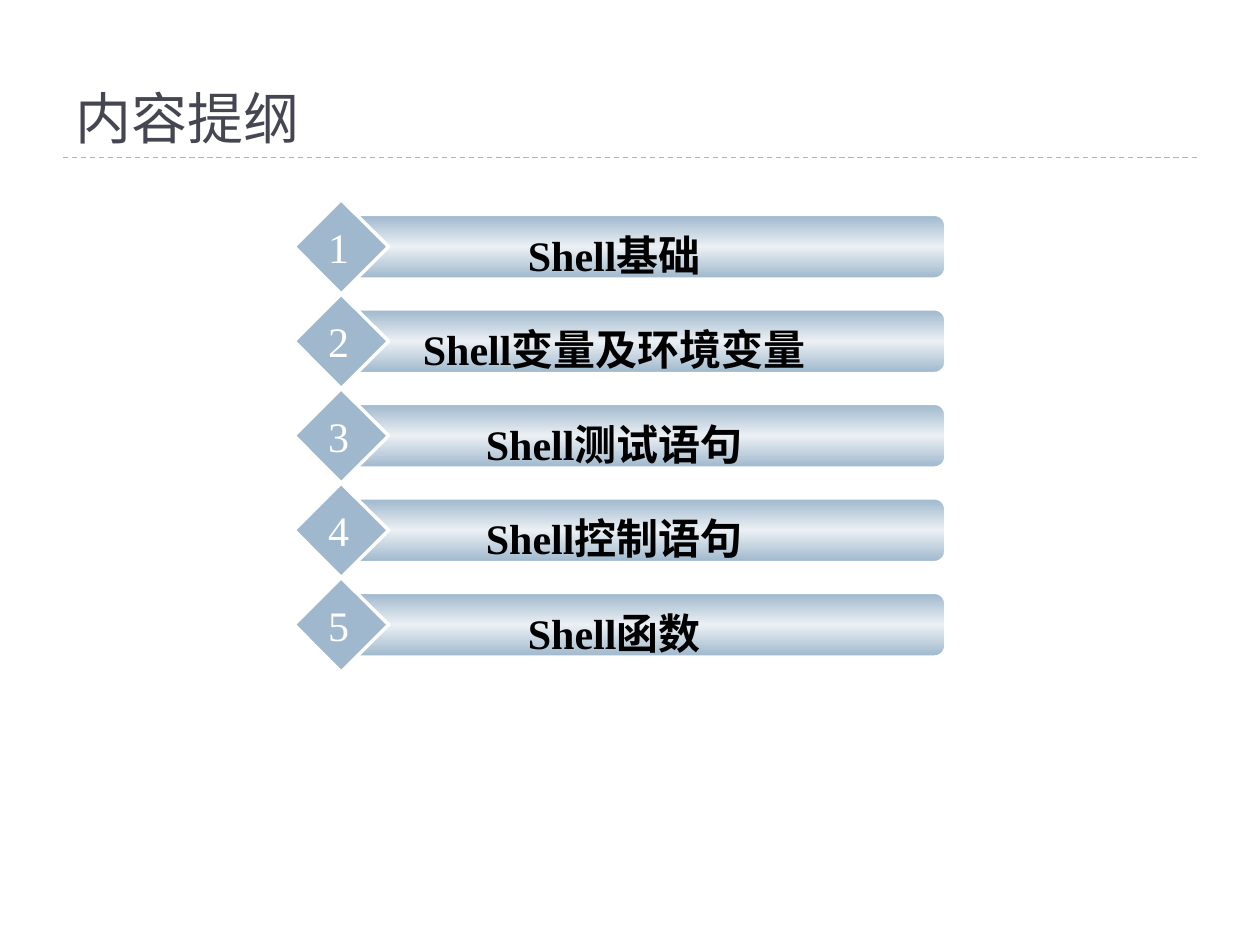
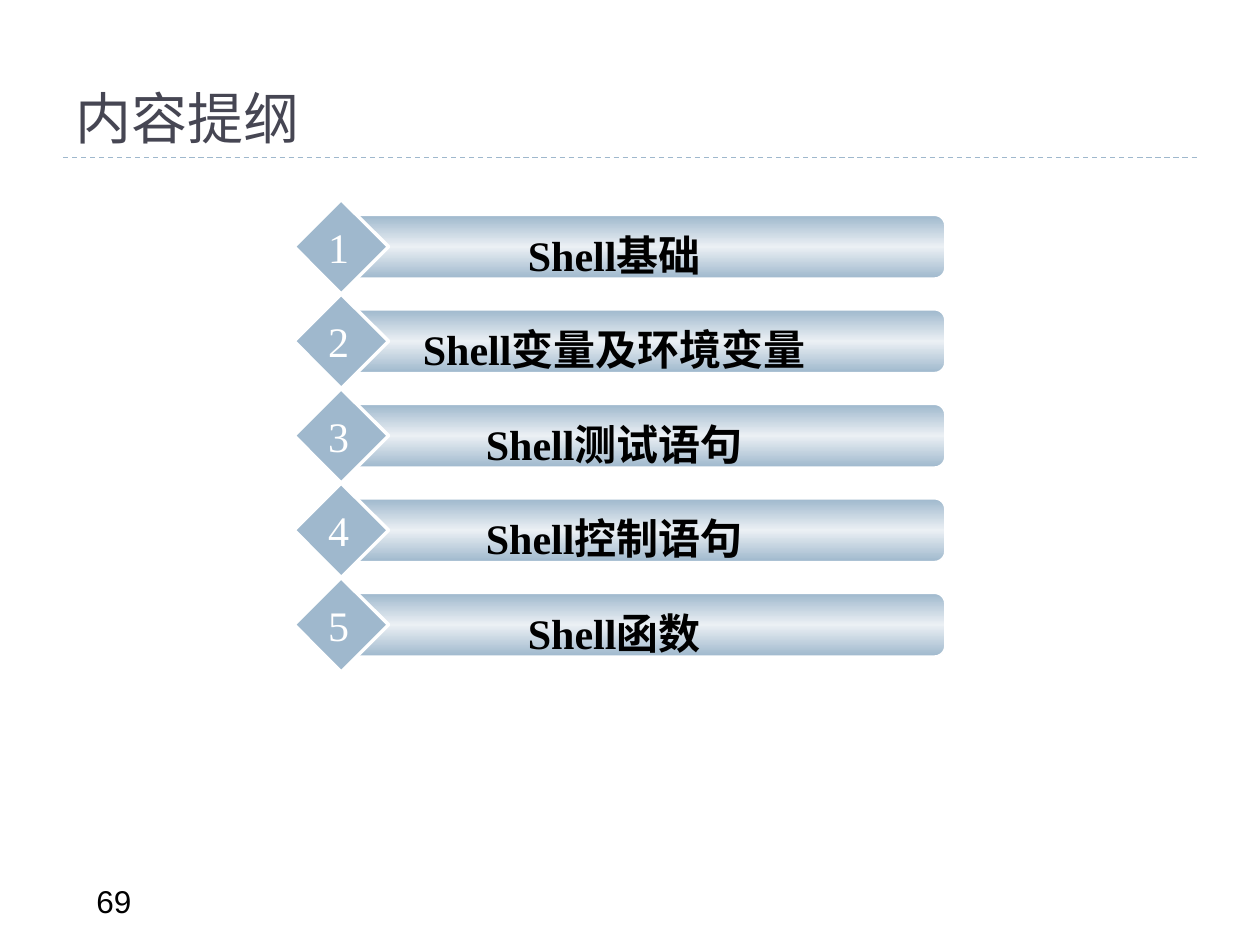
from copy import deepcopy
from dataclasses import dataclass

from lxml import etree
from pptx import Presentation
from pptx.dml.color import RGBColor
from pptx.enum.dml import MSO_LINE
from pptx.enum.shapes import MSO_CONNECTOR, MSO_SHAPE
from pptx.enum.text import MSO_ANCHOR, MSO_AUTO_SIZE, PP_ALIGN
from pptx.oxml.ns import qn
from pptx.shapes.autoshape import Shape
from pptx.shapes.group import GroupShape
from pptx.slide import Slide
from pptx.util import Inches, Pt

ROUND, DIAMOND = MSO_SHAPE.ROUNDED_RECTANGLE, MSO_SHAPE.DIAMOND
STRAIGHT, DASH = MSO_CONNECTOR.STRAIGHT, MSO_LINE.DASH
LEFT, CENTER = PP_ALIGN.LEFT, PP_ALIGN.CENTER
TOP, BOTTOM = MSO_ANCHOR.TOP, MSO_ANCHOR.BOTTOM
FIXED = MSO_AUTO_SIZE.NONE

WIDE, HIGH = Inches(10), Inches(7.5)
COLS, ROWS = 120, 90  # square grid cells
TITLE_ONLY = 5


@dataclass(frozen=True)
class Style:
    font: str
    size: int
    color: str
    bold: bool = False
    align: PP_ALIGN = CENTER


@dataclass(frozen=True)
class Theme:
    blue: str = "9FB8CD"
    pale: str = "EBF0F4"
    white: str = "FFFFFF"
    title: Style = Style("Arial", 32, "464653", align=LEFT)
    page: Style = Style("Arial", 18, "000000", align=LEFT)
    topic: Style = Style("Times New Roman", 24, "000000", bold=True)
    digit: Style = Style("Times New Roman", 24, "FFFFFF")


@dataclass(frozen=True)
class Box:
    """A place on the grid, in columns and rows."""
    col: float
    row: float
    cols: float
    rows: float

    def down(self, rows: float) -> "Box":
        return Box(self.col, self.row + rows, self.cols, self.rows)

    def place(self) -> tuple[int, int, int, int]:
        return (grid_x(self.col), grid_y(self.row),
                grid_x(self.cols), grid_y(self.rows))


@dataclass(frozen=True)
class Page:
    title: str
    topics: tuple[str, ...]
    number: str = ""


THEME = Theme()
HEAD = Box(6, 2, 108, 13)
FOOT = Box(8, 83.4, 26, 4.8)
BAR = Box(33, 20.5, 57, 6)
GEM = Box(28, 19, 9, 9)
TOPIC = Box(36, 21.25, 45, 6)
DIGIT = Box(30.1, 20.5, 4.3, 6)
STEP = 9  # rows from one topic to the next

TOPICS = ("Shell基础", "Shell变量及环境变量", "Shell测试语句",
          "Shell控制语句", "Shell函数")
PAGES = (Page("内容提纲", TOPICS), Page("内容提纲", TOPICS, "69"))


def grid_x(cols: float) -> int:
    return round(WIDE * cols / COLS)


def grid_y(rows: float) -> int:
    return round(HIGH * rows / ROWS)


def rgb(code: str) -> RGBColor:
    return RGBColor.from_string(code)


def write(shape: Shape, text: str, style: Style,
          anchor: MSO_ANCHOR = TOP, wrap: bool = True) -> None:
    frame = shape.text_frame
    frame.auto_size = FIXED
    frame.word_wrap = wrap
    frame.vertical_anchor = anchor
    para = frame.paragraphs[0]
    para.alignment = style.align
    run = para.add_run()
    run.text = text
    run.font.name = style.font
    run.font.size = Pt(style.size)
    run.font.bold = style.bold
    run.font.color.rgb = rgb(style.color)


def add_form(group: GroupShape, kind: MSO_SHAPE, box: Box, edge: float) -> Shape:
    """Add a blue shape with a white edge."""
    form = group.shapes.add_shape(kind, *box.place())
    form.shadow.inherit = False
    form.fill.solid()
    form.fill.fore_color.rgb = rgb(THEME.blue)
    form.line.color.rgb = rgb(THEME.white)
    form.line.width = Pt(edge)
    return form


def shade(form: Shape) -> None:
    """Fill from blue through pale to blue, top to bottom."""
    form.fill.gradient()
    form.fill.gradient_angle = 90
    stops = form.element.spPr.find(".//" + qn("a:gsLst"))
    stops.insert(1, deepcopy(stops[0]))
    colors = (THEME.blue, THEME.pale, THEME.blue)
    for stop, color, share in zip(form.fill.gradient_stops, colors, (0, 0.5, 1)):
        stop.color.rgb = rgb(color)
        stop.position = share


def add_topic(slide: Slide, index: int, text: str) -> None:
    group = slide.shapes.add_group_shape()
    drop = index * STEP
    shade(add_form(group, ROUND, BAR.down(drop), 1))
    add_form(group, DIAMOND, GEM.down(drop), 2)
    label = group.shapes.add_textbox(*TOPIC.down(drop).place())
    write(label, text, THEME.topic)
    digit = group.shapes.add_textbox(*DIGIT.down(drop).place())
    write(digit, str(index + 1), THEME.digit, wrap=False)


def add_rule(slide: Slide) -> None:
    """Draw the dashed line under the title."""
    left, right = grid_x(HEAD.col), grid_x(HEAD.col + HEAD.cols)
    base = grid_y(HEAD.row + HEAD.rows)
    rule = slide.shapes.add_connector(STRAIGHT, left, base, right, base)
    rule.line.color.rgb = rgb(THEME.blue)
    rule.line.width = Pt(0.75)
    rule.line.dash_style = DASH
    etree.SubElement(rule.element.spPr, qn("a:effectLst"))


def add_page(deck: Presentation, page: Page) -> None:
    slide = deck.slides.add_slide(deck.slide_layouts[TITLE_ONLY])
    add_rule(slide)
    title = slide.shapes.title
    title.left, title.top, title.width, title.height = HEAD.place()
    write(title, page.title, THEME.title, BOTTOM)
    if page.number:
        foot = slide.shapes.add_textbox(*FOOT.place())
        write(foot, page.number, THEME.page)
    for index, text in enumerate(page.topics):
        add_topic(slide, index, text)


def main() -> None:
    deck = Presentation()
    deck.slide_width, deck.slide_height = WIDE, HIGH
    for page in PAGES:
        add_page(deck, page)
    deck.save("out.pptx")


if __name__ == "__main__":
    main()
